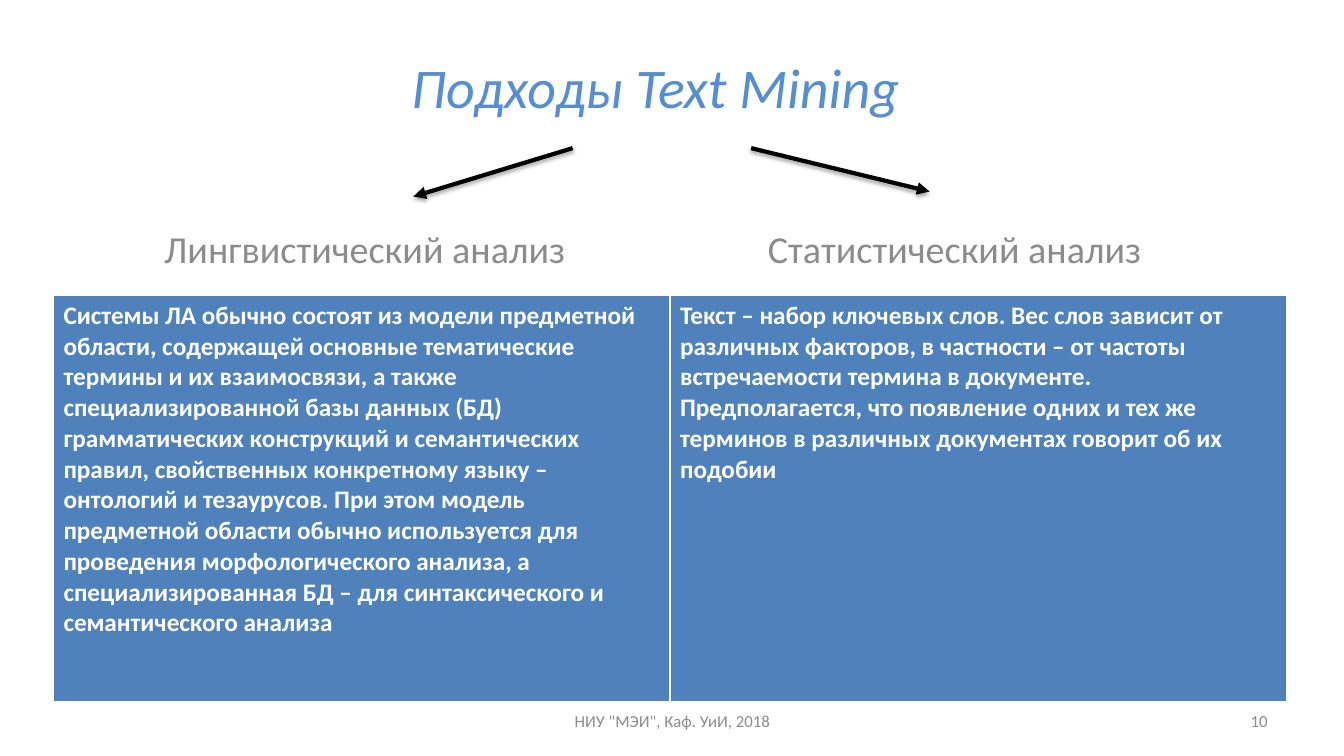
from lxml.etree import SubElement
from pptx import Presentation
from pptx.dml.color import RGBColor
from pptx.enum.shapes import MSO_CONNECTOR
from pptx.enum.text import MSO_ANCHOR, PP_ALIGN
from pptx.oxml.ns import qn
from pptx.util import Inches, Pt

COLORS = {
    "title": "558ED5",
    "gray": "8C8C8C",
    "cell": "4F81BD",
    "white": "FFFFFF",
    "black": "000000",
}
FONT = "Calibri"


class Page:
    def __init__(self, slide):
        self.shapes = slide.shapes

    def color(self, name):
        return RGBColor.from_string(COLORS[name])

    def style(self, frame, size, color, bold=False, italic=False):
        for para in frame.paragraphs:
            for run in para.runs:
                font = run.font
                font.name, font.size = FONT, Pt(size)
                font.bold, font.italic = bold, italic
                font.color.rgb = self.color(color)

    def text(self, words, box, size, color, align=PP_ALIGN.CENTER, italic=False):
        frame = self.shapes.add_textbox(*map(Inches, box)).text_frame
        frame.word_wrap = True
        frame.vertical_anchor = MSO_ANCHOR.MIDDLE
        frame.text = words
        frame.paragraphs[0].alignment = align
        self.style(frame, size, color, italic=italic)

    def arrow(self, start, end):
        line = self.shapes.add_connector(
            MSO_CONNECTOR.STRAIGHT, *map(Inches, start + end))
        line.line.color.rgb = self.color("black")
        line.line.width = Pt(3)
        SubElement(line.line._get_or_add_ln(), qn("a:tailEnd"), type="triangle")
        effects = SubElement(line._element.spPr, qn("a:effectLst"))
        shadow = SubElement(effects, qn("a:outerShdw"), blurRad=str(Pt(3.1)),
                            dist=str(Pt(1.8)), dir="5400000", rotWithShape="0")
        shade = SubElement(shadow, qn("a:srgbClr"), val=COLORS["black"])
        SubElement(shade, qn("a:alpha"), val="35000")

    def border(self, cell, side, width):
        props = cell._tc.get_or_add_tcPr()
        edge = SubElement(props, qn("a:ln" + side), w=str(Pt(width)))
        fill = SubElement(edge, qn("a:solidFill"))
        SubElement(fill, qn("a:srgbClr"), val=COLORS["white"])

    def table(self, texts, box):
        table = self.shapes.add_table(1, len(texts), *map(Inches, box)).table
        for cell, words in zip(table.iter_cells(), texts):
            for side, width in {"L": 1, "R": 1, "T": 1, "B": 3}.items():
                self.border(cell, side, width)
            cell.fill.solid()
            cell.fill.fore_color.rgb = self.color("cell")
            cell.text_frame.text = words
            self.style(cell.text_frame, 18, "white", bold=True)


def main():
    deck = Presentation()
    deck.slide_width, deck.slide_height = Inches(13.33), Inches(7.5)
    page = Page(deck.slides.add_slide(deck.slide_layouts[6]))

    page.text("Подходы Text Mining", (1.5, 0.64, 10, 0.43), 40, "title", italic=True)
    page.text("Лингвистический анализ", (1.12, 2.16, 5, 0.6), 27.2, "gray")
    page.text("Статистический анализ", (6.97, 2.16, 5, 0.6), 27.2, "gray")
    page.text('НИУ "МЭИ", Каф. УиИ, 2018', (4.56, 6.95, 4.22, 0.4), 12, "gray")
    page.text("10", (9.56, 6.95, 3.11, 0.4), 12, "gray", PP_ALIGN.RIGHT)

    page.arrow((5.68, 1.47), (4.1, 1.95))
    page.arrow((7.45, 1.47), (9.22, 1.9))

    page.table([
        "Системы ЛА обычно состоят из модели предметной области, содержащей "
        "основные тематические термины и их взаимосвязи, а также "
        "специализированной базы данных (БД) грамматических конструкций и "
        "семантических правил, свойственных конкретному языку – онтологий и "
        "тезаурусов. При этом модель предметной области обычно используется "
        "для проведения морфологического анализа, а специализированная БД – "
        "для синтаксического и семантического анализа",
        "Текст – набор ключевых слов. Вес слов зависит от различных факторов, "
        "в частности – от частоты встречаемости термина в документе. "
        "Предполагается, что появление одних и тех же терминов в различных "
        "документах говорит об их подобии",
    ], (0.53, 2.93, 12.23, 4.04))

    deck.save("out.pptx")


if __name__ == "__main__":
    main()
